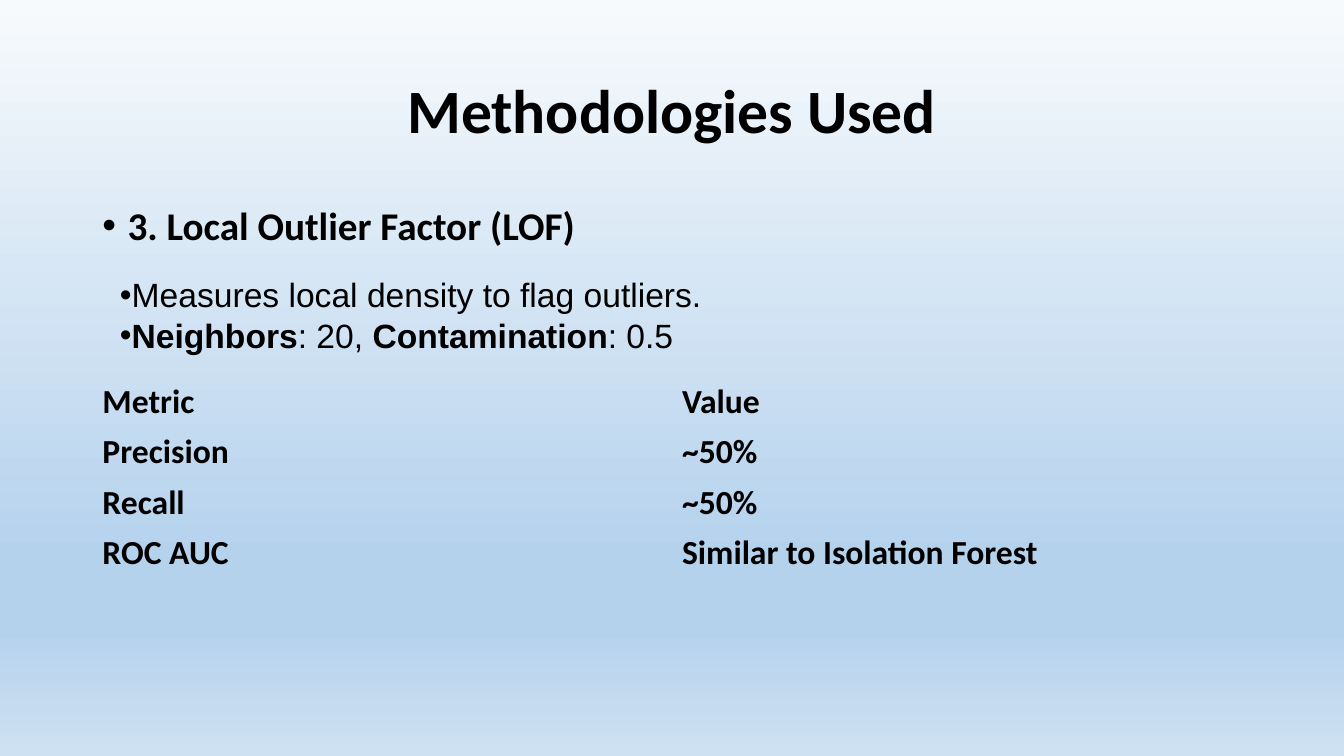
from lxml.etree import SubElement
from pptx import Presentation
from pptx.dml.color import RGBColor
from pptx.enum.text import MSO_ANCHOR as Anchor, MSO_AUTO_SIZE as AutoSize, PP_ALIGN as Align
from pptx.oxml import parse_xml
from pptx.oxml.ns import nsdecls, qn
from pptx.util import Inches, Pt

COLUMNS, ROWS = 160, 90  # grid units of one twelfth of an inch
NO_STYLE = "{2D5ABB26-0587-4C30-8999-92F81FD0307C}"


def color(hex_text):
    return RGBColor.from_string(hex_text)


def apply(target, values):
    for name, value in values.items():
        setattr(target, name, value)


class SlideStyle:
    ink = "000000"
    heading_font = "Calibri"
    body_font = "Arial"

    def __init__(self, deck):
        self.page = deck.slides.add_slide(deck.slide_layouts[6])
        self.column = deck.slide_width / COLUMNS
        self.row = deck.slide_height / ROWS

    def place(self, left, top, width, height):
        return (round(left * self.column), round(top * self.row),
                round(width * self.column), round(height * self.row))

    def background(self, stops):
        marks = "".join(f'<a:gs pos="{share * 1000}"><a:srgbClr val="{shade}"/></a:gs>'
                        for share, shade in stops)
        fill = self.page.background.fill
        fill.gradient()
        fill.gradient_angle = 270
        properties = self.page.element.cSld.find(qn("p:bg")).find(qn("p:bgPr"))
        gradient = properties.find(qn("a:gradFill"))
        gradient.replace(gradient.find(qn("a:gsLst")),
                         parse_xml(f'<a:gsLst {nsdecls("a")}>{marks}</a:gsLst>'))

    def fill_para(self, para, spans, font, size, bullet_indent=None, **layout):
        if bullet_indent is not None:
            properties = para._p.get_or_add_pPr()
            properties.set("marL", str(Inches(bullet_indent)))
            properties.set("indent", str(-Inches(bullet_indent)))
            SubElement(properties, qn("a:buFont")).set("typeface", "Arial")
            SubElement(properties, qn("a:buChar")).set("char", "•")
        apply(para, layout)
        for words, bold in spans:
            span = para.add_run()
            span.text = words
            apply(span.font, {"name": font, "size": Pt(size), "bold": bold})
            span.font.color.rgb = color(self.ink)

    def text(self, place, lines, font, size, frame=None, **layout):
        box = self.page.shapes.add_textbox(*self.place(*place)).text_frame
        apply(box, {"word_wrap": True, **(frame or {})})
        for index, spans in enumerate(lines):
            para = box.add_paragraph() if index else box.paragraphs[0]
            self.fill_para(para, spans, font, size, **layout)

    def table(self, place, records, size):
        table = self.page.shapes.add_table(
            len(records), len(records[0]), *self.place(*place)).table
        apply(table, {"first_row": False, "horz_banding": False})
        table._tbl.tblPr.find(qn("a:tableStyleId")).text = NO_STYLE
        for row, record in enumerate(records):
            for column, words in enumerate(record):
                cell = table.cell(row, column)
                cell.fill.background()
                cell.vertical_anchor = Anchor.MIDDLE
                self.fill_para(cell.text_frame.paragraphs[0], [(words, True)],
                               self.heading_font, size)


def main():
    deck = Presentation()
    apply(deck, {"slide_width": Inches(13.33), "slide_height": Inches(7.5)})
    style = SlideStyle(deck)
    style.background([(0, "F7FAFD"), (74, "B5D2EC"), (83, "B5D2EC"), (100, "CEE1F2")])

    # Title and method heading
    style.text((11, 4.8, 138, 17.4), [[("Methodologies Used", True)]],
               style.heading_font, 44, {"vertical_anchor": Anchor.MIDDLE},
               alignment=Align.CENTER, line_spacing=0.9)
    style.text((11, 24, 138, 57.1), [[("3. Local Outlier Factor (LOF)", True)]],
               style.heading_font, 28, bullet_indent=0.25, line_spacing=0.9)

    # Method details
    style.text((13.1, 32, 72.4, 10.9),
               [[("Measures local density to flag outliers.", False)],
                [("Neighbors", True), (": 20, ", False),
                 ("Contamination", True), (": 0.5", False)]],
               style.body_font, 24,
               {"vertical_anchor": Anchor.MIDDLE, "word_wrap": False,
                "auto_size": AutoSize.SHAPE_TO_FIT_TEXT},
               bullet_indent=0)

    # Results
    style.table((11, 44.8, 138, 24),
                [("Metric", "Value"), ("Precision", "~50%"), ("Recall", "~50%"),
                 ("ROC AUC", "Similar to Isolation Forest")], 24)
    deck.save("out.pptx")


if __name__ == "__main__":
    main()
